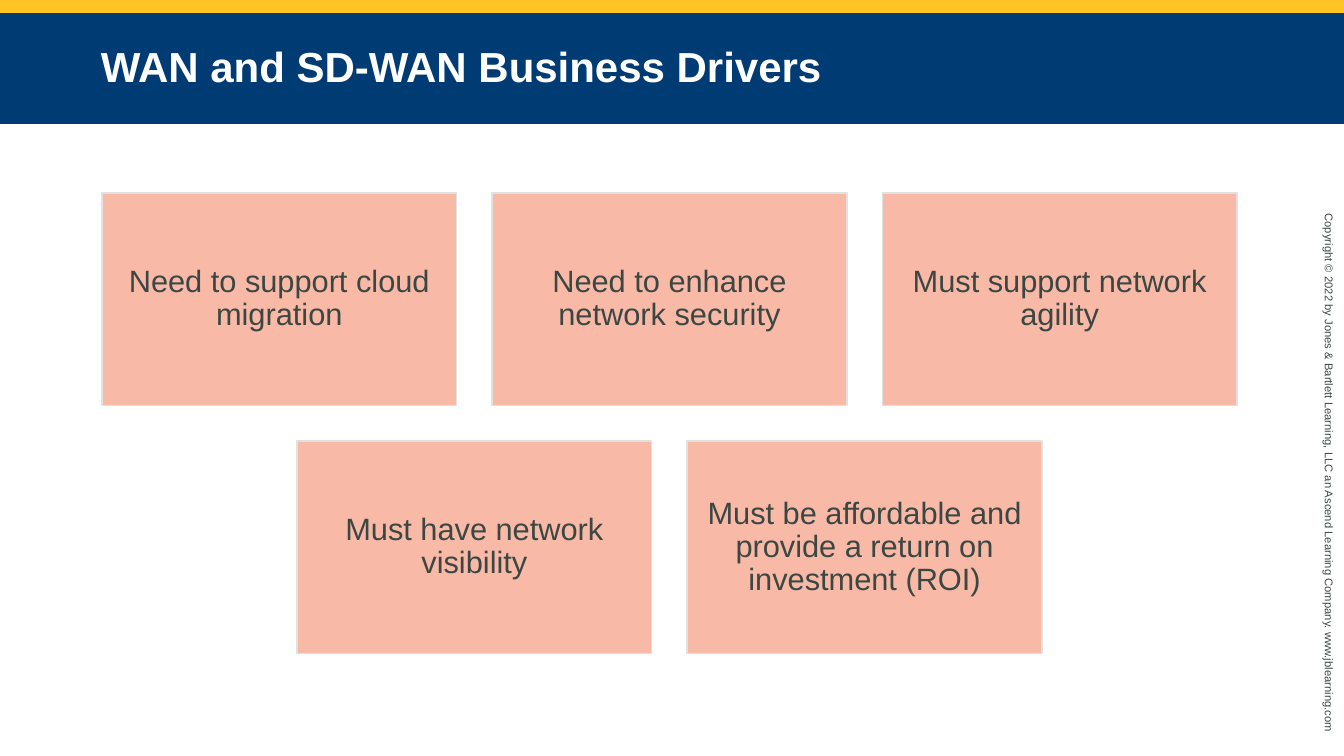
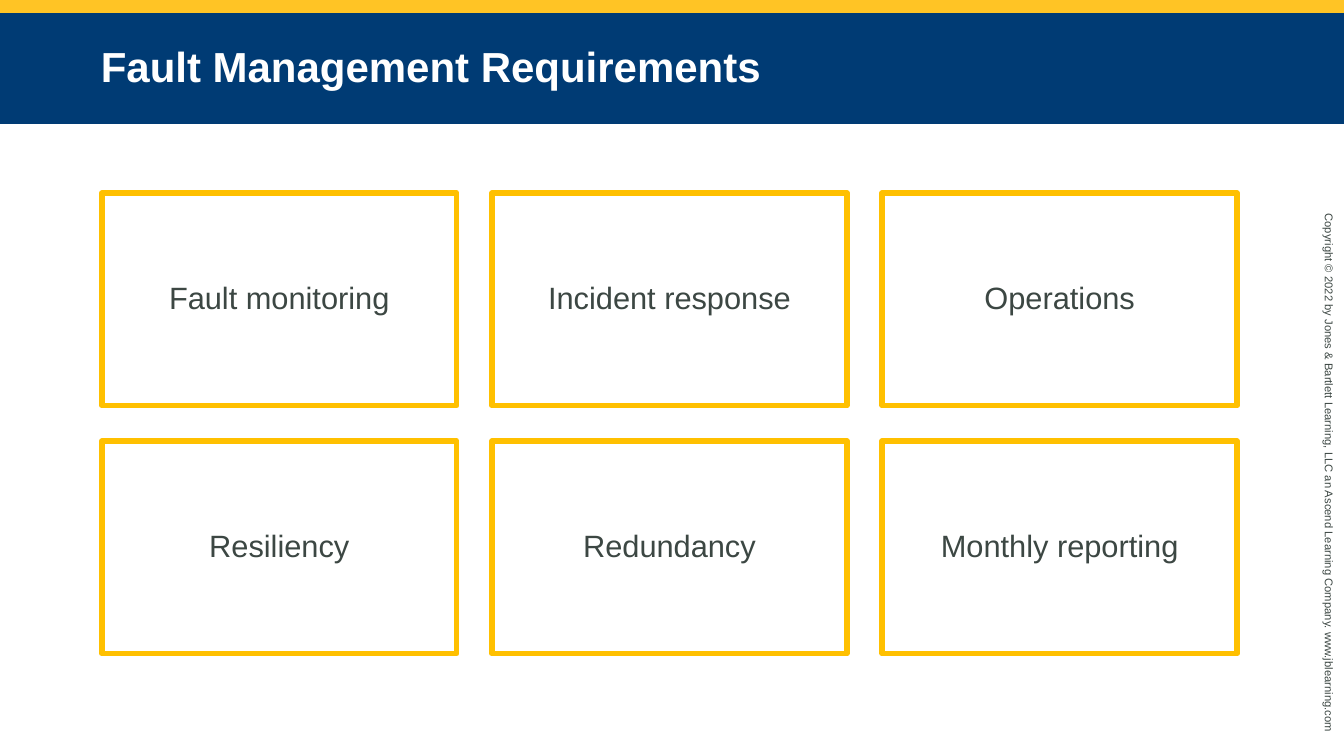
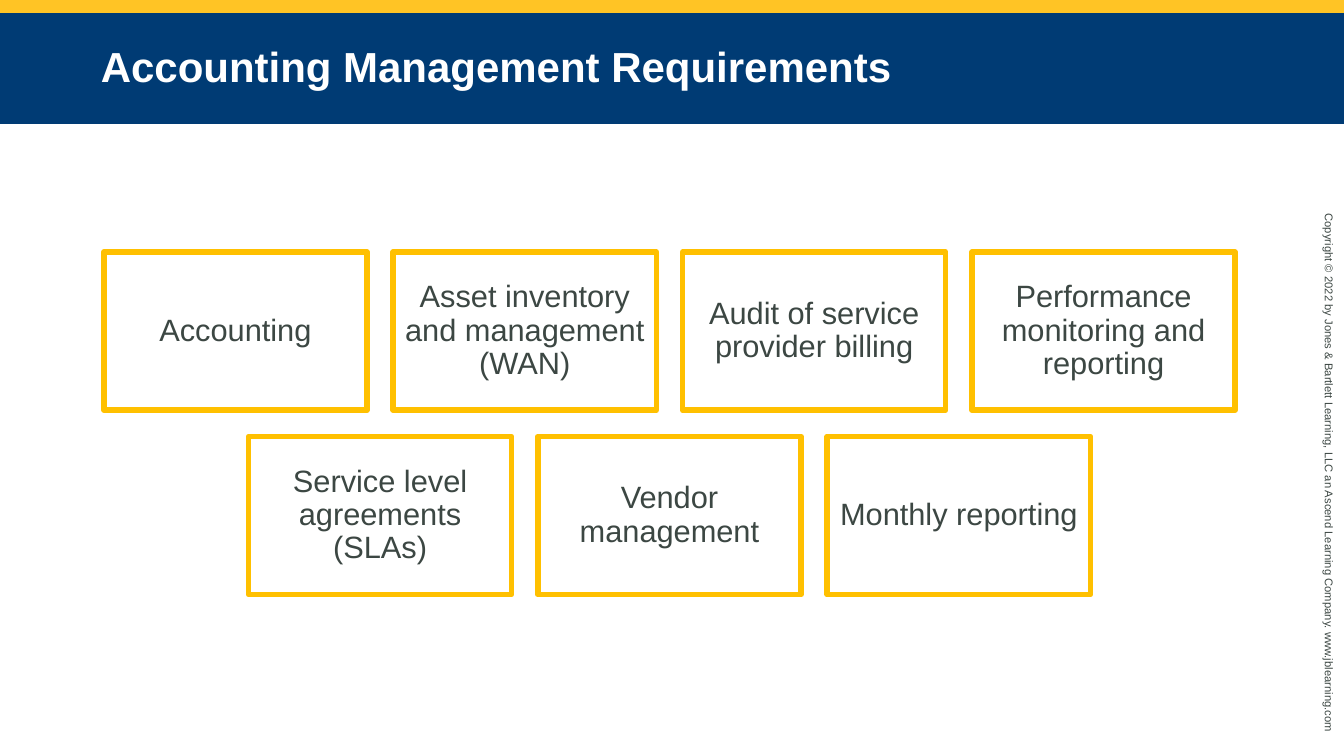
"""Build three slides of centred card grids under a shared title band."""
from pptx import Presentation
from pptx.dml.color import RGBColor
from pptx.enum import shapes, text
from pptx.util import Inches, Pt

GOLD = RGBColor(0xFF, 0xC4, 0x25)
NAVY = RGBColor(0x00, 0x3B, 0x74)
WHITE = RGBColor(0xFF, 0xFF, 0xFF)
INK = RGBColor(0x3C, 0x47, 0x43)
SALMON = RGBColor(0xF9, 0xB9, 0xA7)
SILVER = RGBColor(0xE1, 0xE1, 0xE1)
AMBER = RGBColor(0xFF, 0xC0, 0x00)

FONT = "Arial"
SLIDE_WIDTH, SLIDE_HEIGHT = 13.33, 7.5
STRIPE_HEIGHT, TITLE_HEIGHT = 0.13, 1.1
GRID_CENTRE_X, GRID_CENTRE_Y = 6.64, 4.2
COPYRIGHT = (
    "Copyright © 2022 by Jones & Bartlett Learning, LLC an Ascend Learning Company. "
    "www.jblearning.com"
)

FILLED = {"fill": SALMON, "line": SILVER, "line_width": 1}
OUTLINED = {"fill": None, "line": AMBER, "line_width": 4}
LARGE = {"width": 3.52, "height": 2.11, "gap": 0.35}
SMALL = {"width": 2.61, "height": 1.57, "gap": 0.26}

SLIDES = [
    {
        "title": "WAN and SD-WAN Business Drivers",
        "style": FILLED,
        "size": LARGE,
        "rows": [
            ["Need to support cloud migration", "Need to enhance network security",
             "Must support network agility"],
            ["Must have network visibility",
             "Must be affordable and provide a return on investment (ROI)"],
        ],
    },
    {
        "title": "Fault Management Requirements",
        "style": OUTLINED,
        "size": LARGE,
        "rows": [
            ["Fault monitoring", "Incident response", "Operations"],
            ["Resiliency", "Redundancy", "Monthly reporting"],
        ],
    },
    {
        "title": "Accounting Management Requirements",
        "style": OUTLINED,
        "size": SMALL,
        "rows": [
            ["Accounting", "Asset inventory and management (WAN)",
             "Audit of service provider billing", "Performance monitoring and reporting"],
            ["Service level agreements (SLAs)", "Vendor management", "Monthly reporting"],
        ],
    },
]


def add_rectangle(slide, box, fill=None, line=None, line_width=1):
    shape = slide.shapes.add_shape(shapes.MSO_SHAPE.RECTANGLE, *map(Inches, box))
    shape.shadow.inherit = False
    if fill is None:
        shape.fill.background()
    else:
        shape.fill.solid()
        shape.fill.fore_color.rgb = fill
    if line is None:
        shape.line.fill.background()
    else:
        shape.line.color.rgb = line
        shape.line.width = Pt(line_width)
    return shape


def write(shape, words, size, color=INK, bold=False, align=text.PP_ALIGN.LEFT,
          anchor=text.MSO_ANCHOR.MIDDLE, spacing=1.0, insets=(0.1, 0.05)):
    frame = shape.text_frame
    frame.word_wrap = True
    frame.vertical_anchor = anchor
    frame.margin_left = frame.margin_right = Inches(insets[0])
    frame.margin_top = frame.margin_bottom = Inches(insets[1])
    paragraph = frame.paragraphs[0]
    paragraph.alignment = align
    paragraph.line_spacing = spacing
    run = paragraph.add_run()
    run.text = words
    run.font.name = FONT
    run.font.size = Pt(size)
    run.font.bold = bold
    run.font.color.rgb = color


def add_frame(slide, title):
    add_rectangle(slide, (0, 0, SLIDE_WIDTH, STRIPE_HEIGHT), GOLD)
    notice = slide.shapes.add_textbox(*map(Inches, (10.44, 4.64, 5.48, 0.24)))
    notice.rotation = 90
    write(notice, COPYRIGHT, 8, anchor=text.MSO_ANCHOR.TOP)
    band = add_rectangle(slide, (0, STRIPE_HEIGHT, SLIDE_WIDTH, TITLE_HEIGHT), NAVY)
    write(band, title, 30, WHITE, bold=True, spacing=0.95, insets=(1, 0.05))


def centred_starts(count, length, gap, centre):
    first = centre - (count * length + (count - 1) * gap) / 2
    return [first + index * (length + gap) for index in range(count)]


def add_cards(slide, rows, size, style):
    width, height, gap = size["width"], size["height"], size["gap"]
    tops = centred_starts(len(rows), height, gap, GRID_CENTRE_Y)
    for row, top in zip(rows, tops):
        lefts = centred_starts(len(row), width, gap, GRID_CENTRE_X)
        for label, left in zip(row, lefts):
            card = add_rectangle(slide, (left, top, width, height), **style)
            write(card, label, 22, align=text.PP_ALIGN.CENTER, spacing=0.9,
                  insets=(0.09, 0.09))


def main():
    presentation = Presentation()
    presentation.slide_width = Inches(SLIDE_WIDTH)
    presentation.slide_height = Inches(SLIDE_HEIGHT)
    for content in SLIDES:
        slide = presentation.slides.add_slide(presentation.slide_layouts[6])
        add_frame(slide, content["title"])
        add_cards(slide, content["rows"], content["size"], content["style"])
    presentation.save("out.pptx")


if __name__ == "__main__":
    main()
